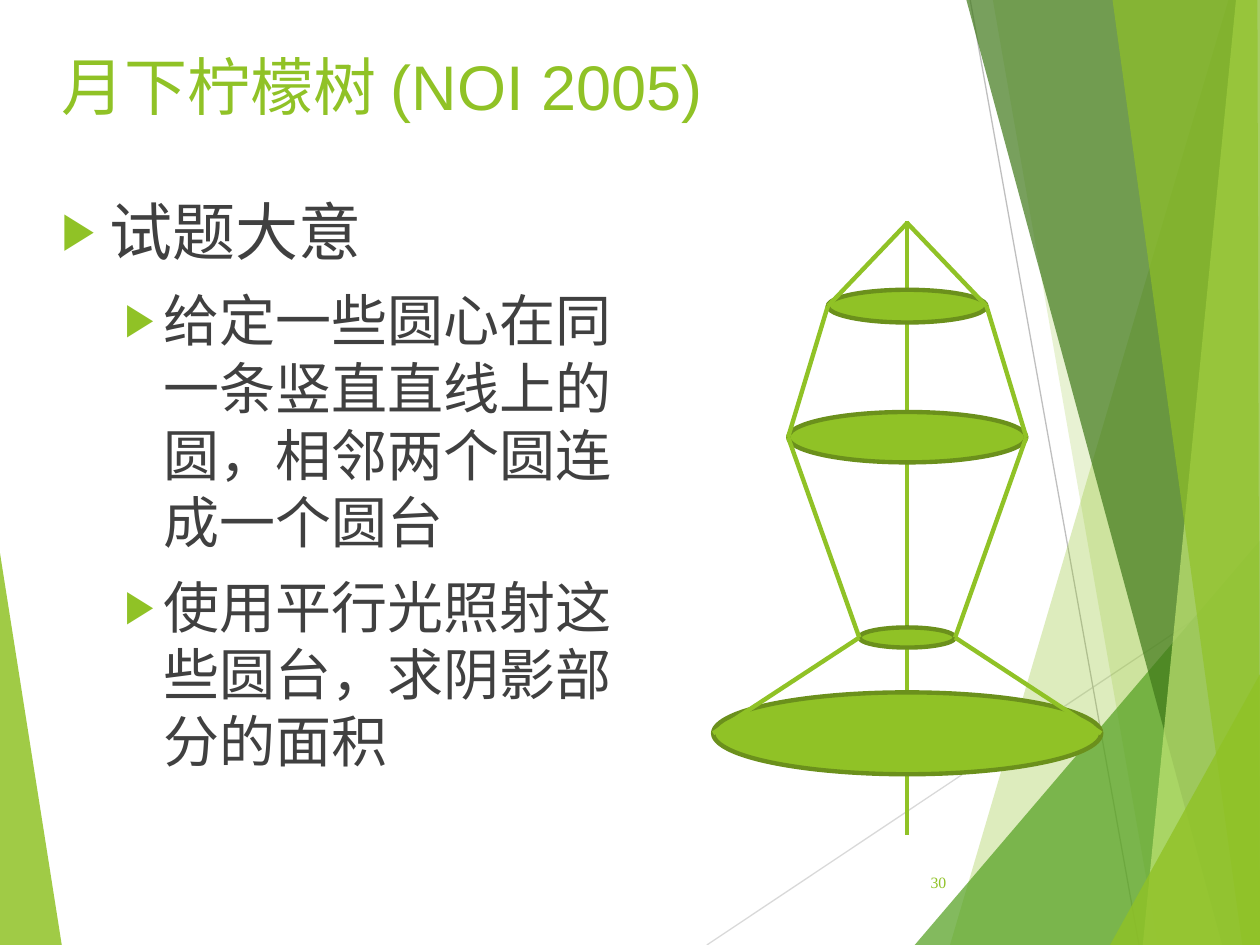
from itertools import pairwise

from lxml.etree import SubElement
from pptx import Presentation
from pptx.dml.color import RGBColor
from pptx.enum.shapes import MSO_CONNECTOR, MSO_SHAPE
from pptx.enum.text import MSO_ANCHOR, MSO_AUTO_SIZE, PP_ALIGN
from pptx.oxml.ns import qn
from pptx.util import Inches, Pt

COLORS = {
    "lime": "90C226", "green": "54A021", "forest": "3F7819", "pale": "C0E474",
    "rim": "6B901C", "text": "404040", "light_gray": "D9D9D9", "gray": "BFBFBF",
}


class SlideBuilder:
    """Holds the style and the current slide."""

    def __init__(self, slide):
        self.slide = slide
        self.shapes = slide.shapes

    def color(self, name):
        return RGBColor.from_string(COLORS[name])

    def facet(self, points, fill, opacity):
        start, *rest = [(Inches(x), Inches(y)) for x, y in points]
        builder = self.shapes.build_freeform(*start, scale=1.0)
        builder.add_line_segments(rest, close=True)
        shape = builder.convert_to_shape()
        shape.shadow.inherit = False
        shape.fill.solid()
        shape.fill.fore_color.rgb = self.color(fill)
        shape.line.fill.background()
        color = shape._element.spPr.find(qn("a:solidFill"))[0]
        SubElement(color, qn("a:alpha"), val=str(opacity * 1000))

    def line(self, start, end, color="lime", width=2.5):
        ends = [Inches(value) for value in (*start, *end)]
        connector = self.shapes.add_connector(MSO_CONNECTOR.STRAIGHT, *ends)
        connector.line.color.rgb = self.color(color)
        connector.line.width = Pt(width)
        SubElement(connector._element.spPr, qn("a:effectLst"))

    def disc(self, center_x, center_y, width, height):
        shape = self.shapes.add_shape(
            MSO_SHAPE.OVAL, Inches(center_x - width / 2),
            Inches(center_y - height / 2), Inches(width), Inches(height))
        shape.shadow.inherit = False
        shape.fill.solid()
        shape.fill.fore_color.rgb = self.color("lime")
        shape.line.color.rgb = self.color("rim")
        shape.line.width = Pt(2.5)

    def place(self, shape, left, top, width, height, anchor):
        shape.left, shape.top = Inches(left), Inches(top)
        shape.width, shape.height = Inches(width), Inches(height)
        frame = shape.text_frame
        frame.word_wrap = True
        frame.auto_size = MSO_AUTO_SIZE.NONE
        frame.vertical_anchor = anchor
        return frame

    def text_box(self, *box, anchor=MSO_ANCHOR.TOP):
        return self.place(self.shapes.add_textbox(0, 0, 0, 0), *box, anchor)

    def set_text(self, paragraph, text, size, font, color, align=PP_ALIGN.LEFT):
        paragraph.text = text
        paragraph.alignment = align
        paragraph.font.size = Pt(size)
        paragraph.font.name = font
        paragraph.font.color.rgb = self.color(color)

    def title(self, text, *box):
        frame = self.place(self.shapes.title, *box, MSO_ANCHOR.TOP)
        self.set_text(frame.paragraphs[0], text, 36, "Arial", "lime")

    def bullets(self, items, *box):
        frame = self.text_box(*box)
        for index, (level, text, size, font, margin, hanging) in enumerate(items):
            paragraph = frame.add_paragraph() if index else frame.paragraphs[0]
            self.set_text(paragraph, text, size, font, "text")
            paragraph.level = level
            paragraph.space_before = Pt(10)
            properties = paragraph._p.get_or_add_pPr()
            properties.set("marL", str(Inches(margin)))
            properties.set("indent", str(-Inches(hanging)))
            bullet = [SubElement(properties, qn(tag)) for tag in
                      ("a:buClr", "a:buSzPct", "a:buFont", "a:buChar")]
            SubElement(bullet[0], qn("a:srgbClr"), val=COLORS["lime"])
            bullet[1].set("val", "80000")
            bullet[2].set("typeface", "Arial")
            bullet[3].set("char", "▶")
            # The schema wants the default run properties after the bullet
            properties.append(properties.find(qn("a:defRPr")))


presentation = Presentation()
presentation.slide_width, presentation.slide_height = Inches(10), Inches(7.5)
builder = SlideBuilder(presentation.slides.add_slide(presentation.slide_layouts[5]))

# Background facets and thin lines
builder.facet([(0, 4.39), (0.49, 7.5), (0, 7.5)], "lime", 85)
builder.line((5.61, 7.5), (10, 4.57), "light_gray", 0.75)
builder.line((7.7, 0), (9.04, 7.5), "gray", 0.75)
FACETS = [
    ([(9.75, 0), (7.54, 7.5), (10, 7.5), (10, 0)], "lime", 30),
    ([(7.88, 0), (9.19, 7.5), (10, 7.5), (10, 0)], "lime", 20),
    ([(7.26, 7.5), (10, 4.29), (10, 7.5)], "green", 72),
    ([(7.67, 0), (9.7, 7.5), (10, 7.5), (10, 0)], "forest", 70),
    ([(9.81, 0), (9.07, 7.5), (10, 7.5), (10, 0)], "pale", 70),
    ([(8.83, 0), (9.86, 7.5), (10, 7.5), (9.98, 0)], "lime", 65),
    ([(8.81, 7.5), (10, 5.35), (10, 7.5)], "lime", 80),
]
for points, fill, opacity in FACETS:
    builder.facet(points, fill, opacity)

# Title and text
builder.title("月下柠檬树 (NOI 2005)", 0.39, 0.33, 7.54, 1.06)
SECOND_LEVEL = (32, "Times New Roman", 0.81, 0.31)
builder.bullets([
    (0, "试题大意", 36, "Noto Sans CJK SC", 0.38, 0.38),
    (1, "给定一些圆心在同一条竖直直线上的圆，相邻两个圆连成一个圆台", *SECOND_LEVEL),
    (1, "使用平行光照射这些圆台，求阴影部分的面积", *SECOND_LEVEL),
], 0.39, 1.48, 4.85, 5.15)

# Tree: trunk, discs, then the sides that join neighbouring rims
AXIS = 7.2
DISCS = [(2.43, 1.26, 0.26), (3.47, 1.89, 0.4), (5.06, 0.76, 0.16), (5.82, 3.08, 0.65)]
builder.line((AXIS, 1.75), (AXIS, 6.63), width=2.25)
for center_y, width, height in DISCS:
    builder.disc(AXIS, center_y, width, height)
rims = [(1.77, 0)] + [(center_y, width / 2) for center_y, width, _ in DISCS]
for (upper_y, upper_radius), (lower_y, lower_radius) in pairwise(rims):
    for side in (-1, 1):
        builder.line((AXIS + side * upper_radius, upper_y),
                     (AXIS + side * lower_radius, lower_y))

# Slide number
number = builder.text_box(7.05, 6.8, 0.56, 0.4, anchor=MSO_ANCHOR.MIDDLE)
builder.set_text(number.paragraphs[0], "30", 9, "Times New Roman", "lime", PP_ALIGN.RIGHT)

presentation.save("out.pptx")
